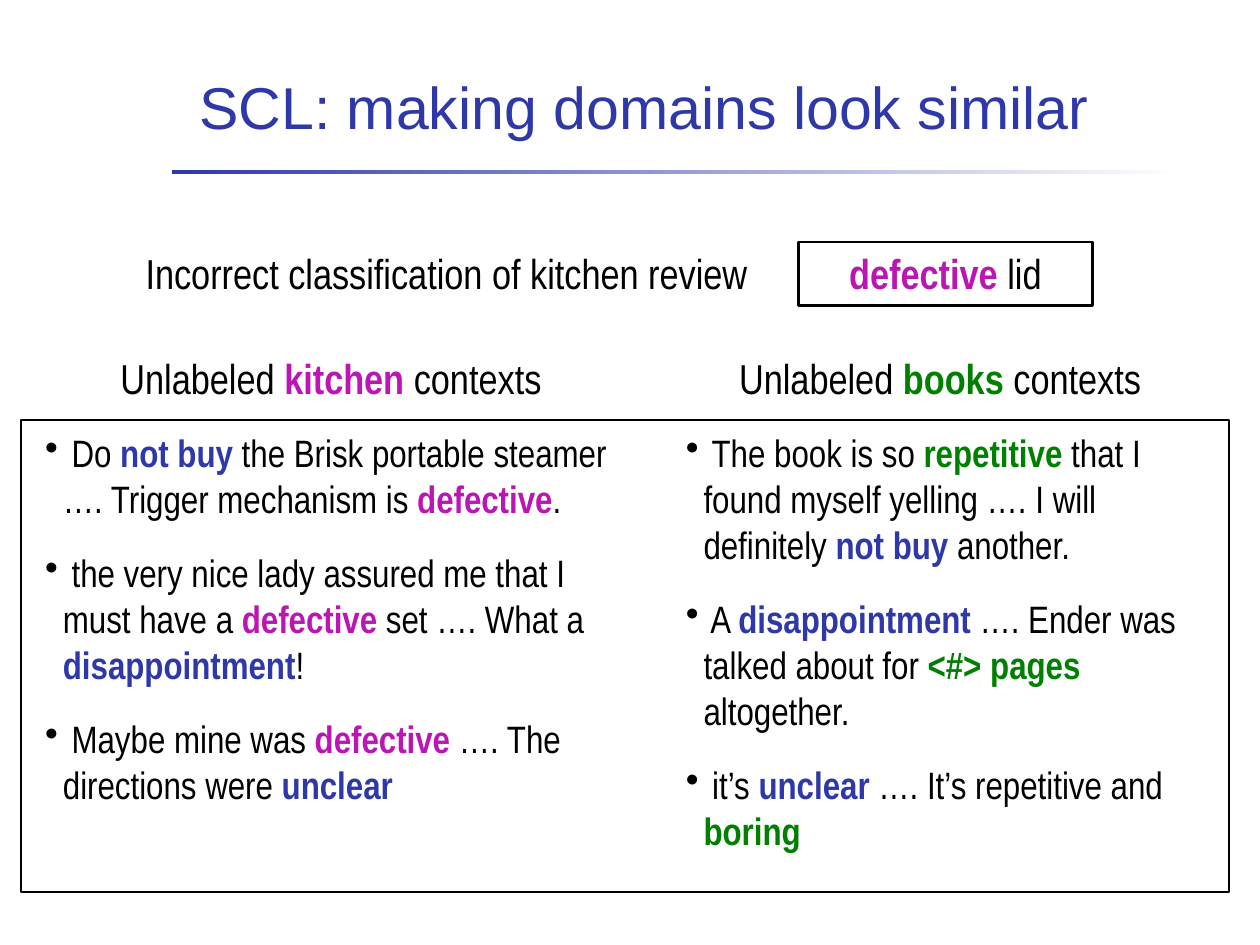
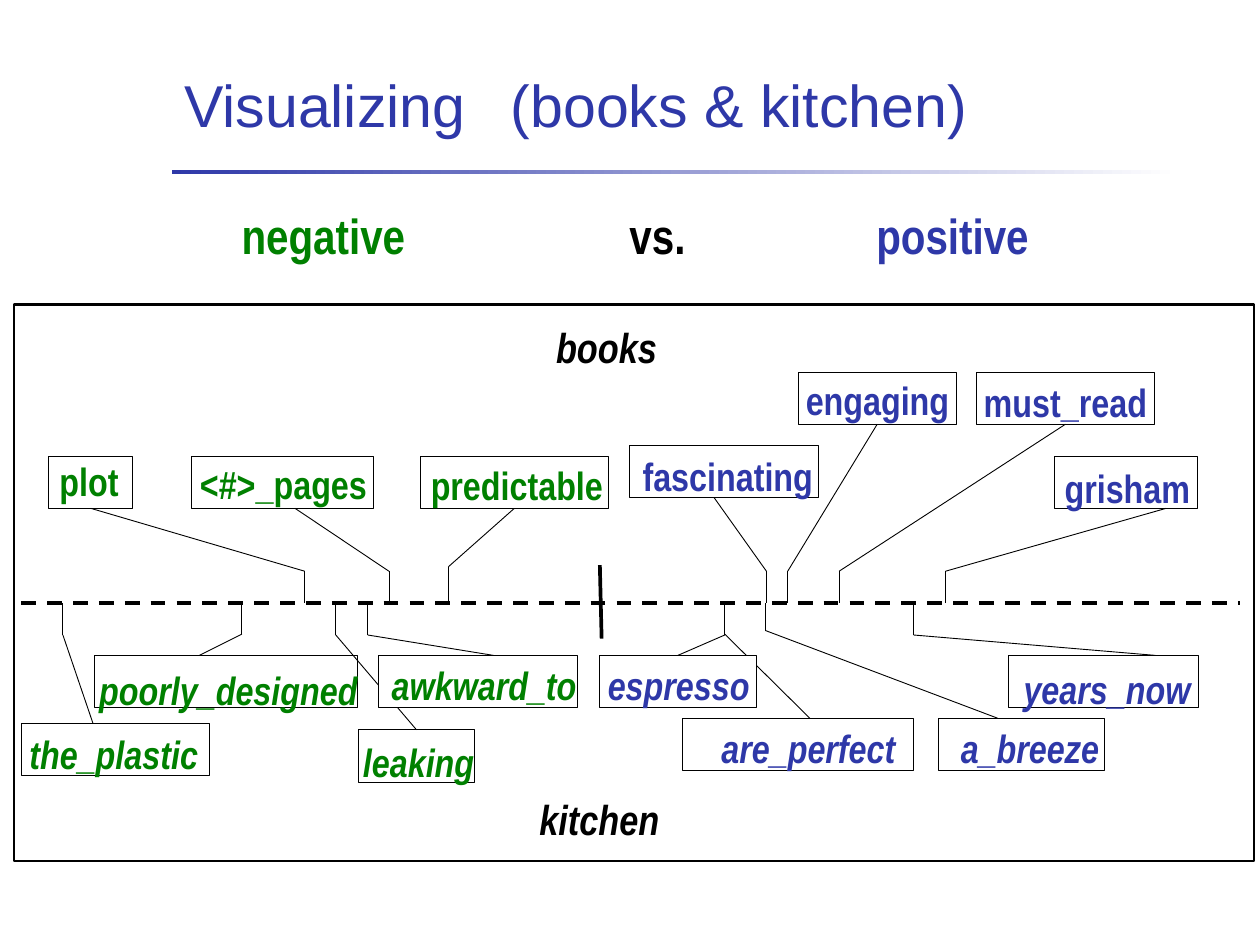
from dataclasses import dataclass
from typing import NamedTuple, Optional

from lxml.etree import SubElement
from pptx import Presentation
from pptx.dml.color import RGBColor
from pptx.enum.dml import MSO_LINE
from pptx.enum.shapes import MSO_CONNECTOR, MSO_SHAPE
from pptx.enum.text import MSO_ANCHOR, PP_ALIGN
from pptx.oxml.ns import qn
from pptx.util import Inches, Pt

BLUE = RGBColor(0x2E, 0x38, 0xA8)
MAGENTA = RGBColor(0xBD, 0x15, 0xB5)
GREEN = RGBColor(0x00, 0x80, 0x00)
BLACK = RGBColor(0x00, 0x00, 0x00)
WHITE = RGBColor(0xFF, 0xFF, 0xFF)

TITLE_FONT = "Arial"
BODY_FONT = "Arial Narrow"
AXIS_Y = 6.81
BOX_HEIGHT = 0.59
LABEL_HEIGHT = 0.68
HANGING_INDENT = 0.2
JOIN_TOLERANCE = 0.06


class Box(NamedTuple):
    left: float
    top: float
    width: float
    height: float

    def lengths(self):
        return [Inches(value) for value in self]


class Point(NamedTuple):
    x: float
    y: float


class Span(NamedTuple):
    text: str
    color: RGBColor = BLACK
    bold: bool = False
    italic: bool = False


def strong(text: str, color: RGBColor) -> Span:
    return Span(text, color, True)


BREAK = Span("\n")


@dataclass
class Word:
    """A feature word: its frame, its label and the path to the axis."""
    text: str
    color: RGBColor
    box_left: float
    box_top: float
    box_width: float
    label_left: float
    label_top: float
    label_width: float
    leader_x: float
    tick_x: float
    elbow_y: float

    @property
    def above(self) -> bool:
        return self.box_top < AXIS_Y


# Shared drawing helpers
def write_spans(paragraph, spans: list[Span], size: float, font: str = BODY_FONT) -> None:
    for span in spans:
        if span is BREAK:
            paragraph.add_line_break()
            continue
        run = paragraph.add_run()
        run.text = span.text
        run.font.name, run.font.size = font, Pt(size)
        run.font.bold, run.font.italic = span.bold, span.italic
        run.font.color.rgb = span.color


def prepare_frame(shape, anchor=MSO_ANCHOR.TOP):
    frame = shape.text_frame
    frame.word_wrap = True
    frame.vertical_anchor = anchor
    frame.margin_left = frame.margin_right = Inches(0.14)
    frame.margin_top = frame.margin_bottom = Inches(0.07)
    return frame


def add_text(slide, box: Box, spans: list[Span], size: float, align=PP_ALIGN.CENTER,
             font: str = BODY_FONT, anchor=MSO_ANCHOR.TOP) -> None:
    frame = prepare_frame(slide.shapes.add_textbox(*box.lengths()), anchor)
    paragraph = frame.paragraphs[0]
    paragraph.alignment = align
    write_spans(paragraph, spans, size, font)


def add_bullets(slide, box: Box, items: list[list[Span]], size: float) -> None:
    frame = prepare_frame(slide.shapes.add_textbox(*box.lengths()))
    for index, spans in enumerate(items):
        paragraph = frame.add_paragraph() if index else frame.paragraphs[0]
        if index:
            paragraph.space_before = Pt(0.75 * size)
        write_spans(paragraph, spans, size)
        properties = paragraph._p.get_or_add_pPr()
        properties.set("marL", str(Inches(HANGING_INDENT)))
        properties.set("indent", str(-Inches(HANGING_INDENT)))
        SubElement(properties, qn("a:buChar")).set("char", "•")


def add_rectangle(slide, box: Box, line_width: float, fill: Optional[RGBColor] = None):
    shape = slide.shapes.add_shape(MSO_SHAPE.RECTANGLE, *box.lengths())
    shape.shadow.inherit = False
    if fill is None:
        shape.fill.background()
    else:
        shape.fill.solid()
        shape.fill.fore_color.rgb = fill
    shape.line.color.rgb = BLACK
    shape.line.width = Pt(line_width)
    return shape


def add_line(slide, start: Point, end: Point, width: float = 0.75):
    connector = slide.shapes.add_connector(
        MSO_CONNECTOR.STRAIGHT, *[Inches(value) for value in (*start, *end)])
    connector.line.color.rgb = BLACK
    connector.line.width = Pt(width)
    SubElement(connector._element.spPr, qn("a:effectLst"))
    return connector


def add_titled_slide(presentation, title: str, title_box: Box):
    slide = presentation.slides.add_slide(presentation.slide_layouts[6])
    rule = slide.shapes.add_shape(MSO_SHAPE.RECTANGLE, *Box(1.94, 1.92, 11.37, 0.05).lengths())
    rule.shadow.inherit = False
    rule.line.fill.background()
    rule.fill.gradient()
    rule.fill.gradient_angle = 0
    for stop, color, position in zip(rule.fill.gradient_stops, (BLUE, WHITE), (0, 1)):
        stop.color.rgb = color
        stop.position = position
    add_text(slide, title_box, [Span(title, BLUE)], 48, PP_ALIGN.LEFT,
             TITLE_FONT, MSO_ANCHOR.MIDDLE)
    return slide


# Slide 1: contexts from both domains
KITCHEN_CONTEXTS = [
    [Span(" Do "), strong("not buy ", BLUE), Span("the Brisk portable steamer"), BREAK,
     Span("…. Trigger mechanism is "), strong("defective", MAGENTA), Span(".")],
    [Span(" the very nice lady assured me that I"), BREAK,
     Span("must have a "), strong("defective ", MAGENTA), Span("set …. What a"), BREAK,
     strong("disappointment", BLUE), Span("!")],
    [Span(" Maybe mine was "), strong("defective", MAGENTA), Span(" …. The"), BREAK,
     Span("directions were "), strong("unclear", BLUE)],
]
BOOKS_CONTEXTS = [
    [Span(" The book is so "), strong("repetitive", GREEN), Span(" that I"), BREAK,
     Span("found myself yelling …. I will"), BREAK,
     Span("definitely "), strong("not buy ", BLUE), Span("another.")],
    [Span(" A "), strong("disappointment ", BLUE), Span("…. Ender was"), BREAK,
     Span("talked about for "), strong("<#> pages", GREEN), BREAK,
     Span("altogether.")],
    [Span(" it’s "), strong("unclear ", BLUE), Span("…. It’s repetitive and"), BREAK,
     strong("boring", GREEN)],
]


def build_contexts_slide(presentation) -> None:
    slide = add_titled_slide(presentation, "SCL: making domains look similar",
                             Box(2.11, 0.49, 11.17, 1.42))
    # Misclassified review
    add_text(slide, Box(0.24, 2.73, 9.6, 0.71),
             [Span("Incorrect classification of kitchen review")], 34)
    review = add_rectangle(slide, Box(9.01, 2.73, 3.32, 0.72), 2)
    paragraph = prepare_frame(review).paragraphs[0]
    paragraph.alignment = PP_ALIGN.CENTER
    write_spans(paragraph, [strong("defective ", MAGENTA), Span("lid")], 34)

    # Two columns in one frame
    columns = [
        ("kitchen", MAGENTA, Box(0.24, 3.91, 6.99, 0.71),
         KITCHEN_CONTEXTS, Box(0.37, 4.78, 6.86, 4.58)),
        ("books", GREEN, Box(7.47, 3.91, 6.28, 0.71),
         BOOKS_CONTEXTS, Box(7.6, 4.78, 6.26, 5.1)),
    ]
    for domain, color, heading_box, contexts, contexts_box in columns:
        add_text(slide, heading_box,
                 [Span("Unlabeled "), strong(domain, color), Span(" contexts")], 34)
        add_bullets(slide, contexts_box, contexts, 31)
    add_rectangle(slide, Box(0.24, 4.74, 13.63, 5.33), 2)


# Slide 2: words along the axis; later frames cover earlier leaders
WORDS = [
    Word("plot", GREEN, 0.55, 5.15, 0.95, 0, 5.09, 2.01, 0.99, 3.44, 6.45),
    Word("<#>_pages", GREEN, 2.16, 5.15, 2.06, 1.78, 5.13, 2.84, 3.33, 4.39, 6.45),
    Word("predictable", GREEN, 4.74, 5.15, 2.13, 4.47, 5.14, 2.73, 5.84, 5.06, 6.4),
    Word("fascinating", BLUE, 7.11, 5.03, 2.13, 7.09, 5.03, 2.25, 8.06, 8.65, 6.45),
    Word("engaging", BLUE, 9.01, 4.2, 1.78, 8.89, 4.18, 2.03, 9.84, 8.89, 6.45),
    Word("must_read", BLUE, 11.02, 4.2, 2.01, 10.96, 4.2, 2.13, 11.97, 9.47, 6.45),
    Word("grisham", BLUE, 11.9, 5.15, 1.61, 11.66, 5.17, 2.13, 13.16, 10.67, 6.45),
    Word("the_plastic", GREEN, 0.24, 8.17, 2.13, 0.16, 8.17, 2.25, 1.05, 0.71, 7.17),
    Word("poorly_designed", GREEN, 1.07, 7.4, 2.96, 0.92, 7.45, 3.32, 2.25, 2.73, 7.16),
    Word("leaking", GREEN, 4.04, 8.24, 1.32, 3.66, 8.26, 2.13, 4.76, 3.79, 7.17),
    Word("awkward_to", GREEN, 4.27, 7.4, 2.25, 4.16, 7.4, 2.61, 5.57, 4.15, 7.17),
    Word("are_perfect", BLUE, 7.7, 8.11, 2.61, 7.82, 8.11, 2.61, 9.14, 8.18, 7.16),
    Word("espresso", BLUE, 6.76, 7.4, 1.78, 6.55, 7.4, 2.22, 7.7, 8.18, 7.17),
    Word("a_breeze", BLUE, 10.59, 8.11, 1.87, 10.56, 8.11, 2.13, 11.26, 8.64, 7.12),
    Word("years_now", BLUE, 11.38, 7.4, 2.15, 11.31, 7.44, 2.37, 13.04, 10.31, 7.17),
]


def add_word(slide, word: Word) -> None:
    box = add_rectangle(
        slide, Box(word.box_left, word.box_top, word.box_width, BOX_HEIGHT), 0.75, WHITE)
    elbow = Point(word.tick_x, word.elbow_y)
    edge_y = word.box_top + (BOX_HEIGHT if word.above else 0)
    add_line(slide, Point(word.tick_x, AXIS_Y), elbow)
    leader = add_line(slide, Point(word.leader_x, edge_y), elbow)
    if abs(word.leader_x - word.box_left - word.box_width / 2) <= JOIN_TOLERANCE:
        leader.begin_connect(box, 2 if word.above else 0)
    add_text(slide, Box(word.label_left, word.label_top, word.label_width, LABEL_HEIGHT),
             [Span(word.text, word.color, True, not word.above)], 32)


def build_words_slide(presentation) -> None:
    slide = add_titled_slide(presentation, "Visualizing \t (books & kitchen)",
                             Box(1.94, 0.28, 12.8, 1.78))
    # Ends of the scale
    for text, color, center in [("negative", GREEN, 3.65), ("vs.", BLACK, 7.42),
                                ("positive", BLUE, 10.75)]:
        add_text(slide, Box(center - 1.5, 2.25, 3, 0.82), [strong(text, color)], 40)

    # Axis with its middle mark
    axis = add_line(slide, Point(0.24, AXIS_Y), Point(13.99, AXIS_Y), 3)
    axis.line.dash_style = MSO_LINE.DASH
    add_line(slide, Point(6.77, 6.38), Point(6.79, 7.21), 3)

    for word in WORDS:
        add_word(slide, word)

    # Domain names and frame
    for text, box in [("books", Box(4.65, 3.56, 4.39, 0.71)),
                      ("kitchen", Box(4.16, 8.89, 5.21, 0.71))]:
        add_text(slide, box, [Span(text, BLACK, True, True)], 34)
    add_rectangle(slide, Box(0.16, 3.44, 13.99, 6.28), 2)


def main() -> None:
    presentation = Presentation()
    presentation.slide_width = Inches(14.22)
    presentation.slide_height = Inches(10.67)
    build_contexts_slide(presentation)
    build_words_slide(presentation)
    presentation.save("out.pptx")


if __name__ == "__main__":
    main()
